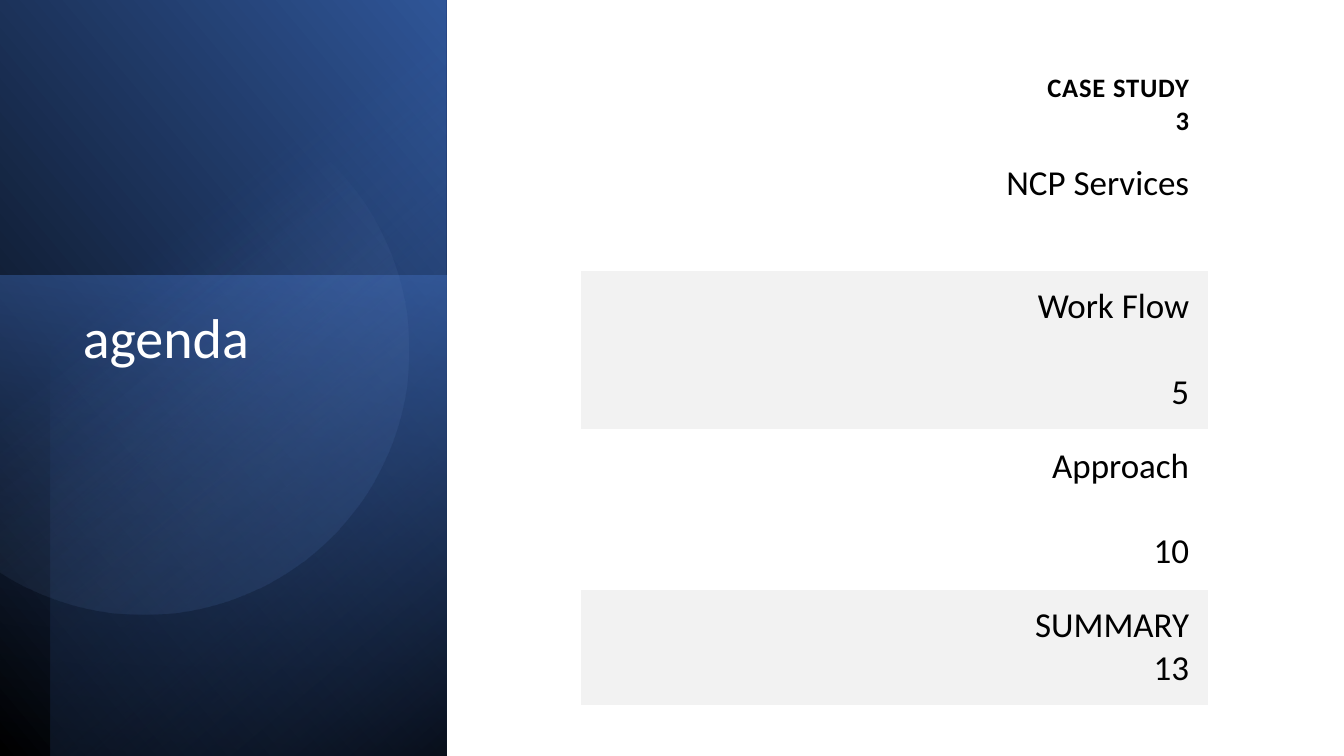
from collections import namedtuple
from math import acos, cos, sin

from lxml.etree import SubElement
from pptx import Presentation
from pptx.dml.color import RGBColor
from pptx.enum.shapes import MSO_SHAPE as Preset
from pptx.enum.text import MSO_ANCHOR as Anchor, PP_ALIGN as Align
from pptx.oxml.ns import qn
from pptx.util import Inches, Pt

FONT = "Calibri"
WIDTH, HEIGHT = 13.33, 7.5
Box = namedtuple("Box", "left top width height")
Row = namedtuple("Row", "height lines gap size bold shade anchor")


def color(hex_text):
    """Turn a hex string into a colour."""
    return RGBColor.from_string(hex_text)


def share(box, left, top, width, height):
    """Return the part of a box given by shares of its size."""
    return Box(box.left + left * box.width, box.top + top * box.height,
               width * box.width, height * box.height)


def inches(box):
    """Return the four lengths of a box as python-pptx inches."""
    return [Inches(length) for length in box]


def style_text(para, size, hex_text, align, bold=False):
    """Set the font and alignment of a paragraph."""
    para.alignment = align
    para.font.name, para.font.size = FONT, Pt(size)
    para.font.bold = bold
    para.font.color.rgb = color(hex_text)


def paint_gradient(shape, stops, angle):
    """Fill with two (position, colour, opacity) stops, angle clockwise."""
    shape.shadow.inherit = False
    shape.line.fill.background()
    shape.fill.gradient()
    shape.fill.gradient_angle = 360 - angle
    for stop, (position, hex_text, _) in zip(shape.fill.gradient_stops, stops):
        stop.position = position
        stop.color.rgb = color(hex_text)
    marks = shape.element.spPr.iter(qn("a:srgbClr"))
    for mark, (_, _, opacity) in zip(marks, stops):
        SubElement(mark, qn("a:alpha")).set("val", str(opacity * 1000))


def add_turned_layer(page, box, turn, flip, stops, angle):
    """Add a gradient rectangle that fills a box after a quarter turn."""
    left = box.left + (box.width - box.height) / 2
    top = box.top + (box.height - box.width) / 2
    frame = Box(left, top, box.height, box.width)
    layer = page.shapes.add_shape(Preset.RECTANGLE, *inches(frame))
    layer.rotation = turn
    if flip:
        layer.element.spPr.find(qn("a:xfrm")).set("flipH", "1")
    paint_gradient(layer, stops, angle)


def add_disc(page, box):
    """Add the pale disc, cut off at the left edge of the box."""
    center_x, center_y = 0.323 * box.width, 0.463 * box.height
    radius, steps = 0.35 * box.height, 120
    reach = acos(-center_x / radius)
    angles = [reach * (2 * step / steps - 1) for step in range(steps + 1)]
    points = [(Inches(box.left + center_x + radius * cos(angle)),
               Inches(box.top + center_y + radius * sin(angle)))
              for angle in angles]
    builder = page.shapes.build_freeform(*points[0], scale=1.0)
    builder.add_line_segments(points[1:], close=True)
    paint_gradient(builder.convert_to_shape(),
                   [(0.39, "8FAADC", 0), (1, "2F5597", 26)], 51.6)


def add_title_panel(page, box, text):
    """Build the layered blue panel with the title on top."""
    add_turned_layer(page, box, 90, True,
                     [(0, "000000", 100), (1, "2F5597", 100)], 310)
    add_turned_layer(page, share(box, 0, 0.364, 1, 0.636), 270, False,
                     [(0, "4472C4", 50), (1, "203864", 0)], 190)
    add_turned_layer(page, share(box, 0.113, 0, 0.887, 1), 270, True,
                     [(0, "000000", 59), (0.69, "4472C4", 0)], 220)
    add_disc(page, box)

    title = page.shapes.title
    place = share(box, 0.163, 0.404, 0.71, 0.448)
    title.left, title.top, title.width, title.height = inches(place)
    frame = title.text_frame
    frame.text, frame.word_wrap = text, True
    frame.vertical_anchor = Anchor.TOP
    para = frame.paragraphs[0]
    para.line_spacing = 0.9
    style_text(para, 40, "FFFFFF", Align.LEFT)
    title.element.getparent().append(title.element)


def add_agenda_table(page, box, rows):
    """Build the one-column agenda, its row heights as shares of the box."""
    table = page.shapes.add_table(len(rows), 1, *inches(box)).table
    table.first_row = table.horz_banding = False
    table.columns[0].width = Inches(box.width)
    for index, row in enumerate(rows):
        table.rows[index].height = Inches(row.height * box.height)
        cell = table.cell(index, 0)
        cell.vertical_anchor = row.anchor
        cell.margin_left = cell.margin_right = Inches(0.19)
        cell.margin_top = Inches(0.16 if index == 0 else 0.09)
        cell.margin_bottom = Inches(0.16)
        if row.shade:
            cell.fill.solid()
            cell.fill.fore_color.rgb = color(row.shade)
        else:
            cell.fill.background()
        cell.text = "\n".join(row.lines)
        for number, para in enumerate(cell.text_frame.paragraphs):
            style_text(para, row.size, "000000", Align.RIGHT, row.bold)
            para.space_before = Pt(row.gap if number else 0)
            if row.bold:
                para.runs[0].font._element.set("spc", "60")


def build_agenda(deck):
    """Add the agenda slide: title panel at left, table at right."""
    page = deck.slides.add_slide(deck.slide_layouts[5])
    slide = Box(0, 0, WIDTH, HEIGHT)
    add_title_panel(page, share(slide, 0, 0, 0.332, 1), "agenda")

    low, high, shade, blank_line = 0.179, 0.244, "F2F2F2", 30.5
    rows = [
        Row(0.156, ["CASE STUDY", "3"], 0, 19, True, None, Anchor.BOTTOM),
        Row(low, ["NCP Services"], 0, 25, False, None, Anchor.TOP),
        Row(high, ["Work Flow", "5"], blank_line, 25, False, shade,
            Anchor.BOTTOM),
        Row(high, ["Approach", "10"], blank_line, 25, False, None,
            Anchor.BOTTOM),
        Row(low, ["SUMMARY", "13"], 0, 25, False, shade, Anchor.BOTTOM),
    ]
    add_agenda_table(page, share(slide, 0.432, 0.068, 0.467, 0.864), rows)


deck = Presentation()
deck.slide_width, deck.slide_height = Inches(WIDTH), Inches(HEIGHT)
build_agenda(deck)
deck.save("out.pptx")
